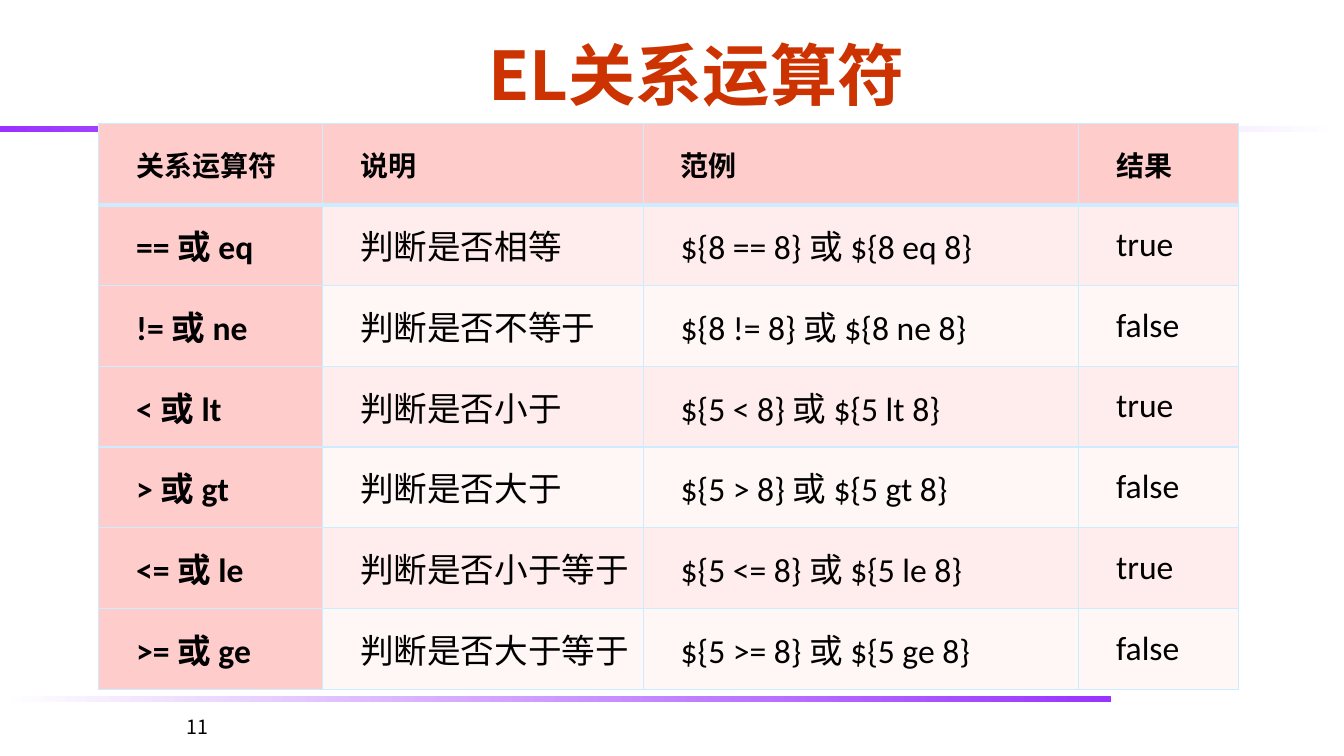
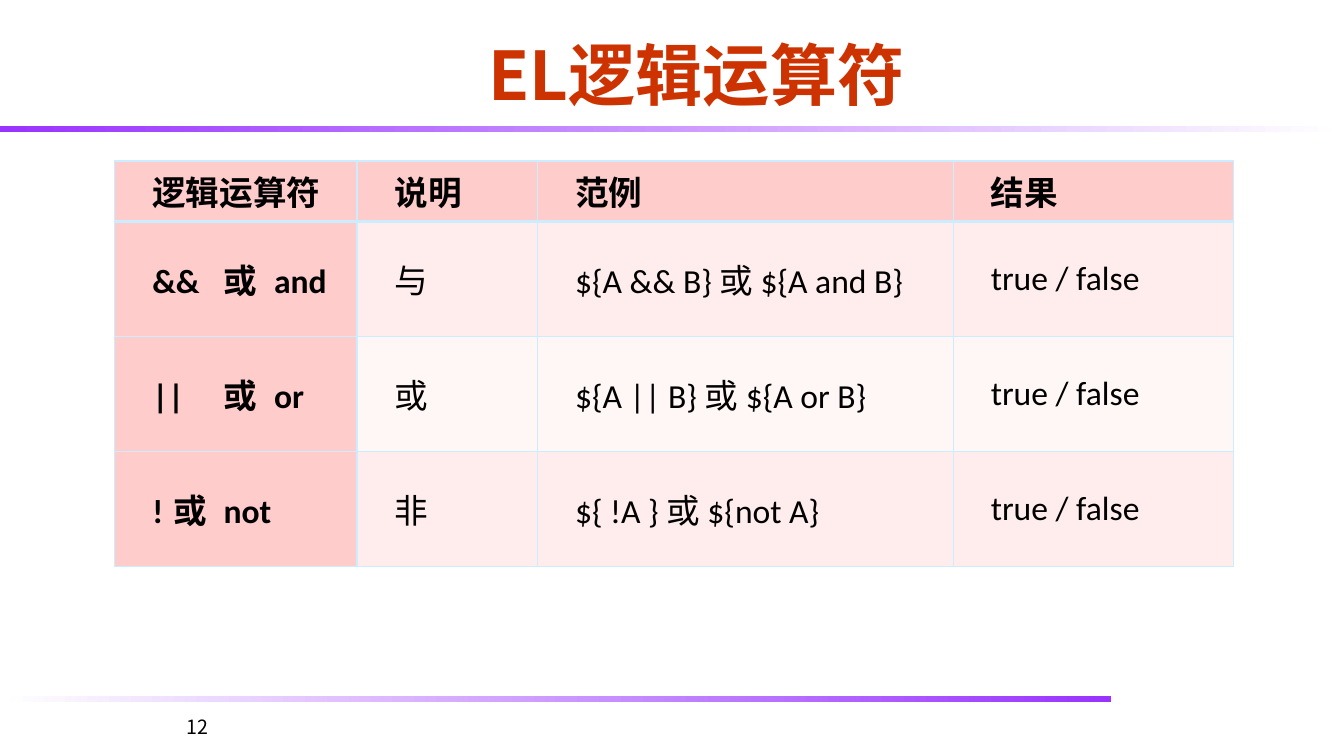
from lxml.etree import SubElement as Sub
from pptx import Presentation
from pptx.dml.color import RGBColor
from pptx.enum.shapes import MSO_SHAPE as Form
from pptx.enum.text import MSO_ANCHOR as Anchor, MSO_AUTO_SIZE as Fit, PP_ALIGN as Align
from pptx.oxml import parse_xml
from pptx.oxml.ns import nsdecls, qn
from pptx.util import Pt

# Shared look
WIDE, HIGH = 960, 540
PURPLE, WHITE, BLACK = "9933FF", "FFFFFF", "000000"
RUST, LINE = "CC3300", "CCECFF"
HEAD, ODD, EVEN = "FFCCCC", "FFECEC", "FFF6F6"
HAN, LATIN, PAGE = "Noto Sans CJK SC", "Calibri", "Noto Sans CJK JP"

# Table content; a tab in the first column goes with its stop in STOPS
RELATE = [
    ("关系运算符", "说明", "范例", "结果"),
    ("== 或 eq", "判断是否相等", "${8 == 8} 或 ${8 eq 8}", "true"),
    ("!= 或 ne", "判断是否不等于", "${8 != 8} 或 ${8 ne 8}", "false"),
    ("< 或 lt", "判断是否小于", "${5 < 8} 或 ${5 lt 8}", "true"),
    ("> 或 gt", "判断是否大于", "${5 > 8} 或 ${5 gt 8}", "false"),
    ("<= 或 le", "判断是否小于等于", "${5 <= 8} 或 ${5 le 8}", "true"),
    (">= 或 ge", "判断是否大于等于", "${5 >= 8} 或 ${5 ge 8}", "false"),
]
LOGIC = [
    ("逻辑运算符", "说明", "范例", "结果"),
    ("&&\t或\tand", "与", "${A && B} 或 ${A and B}", "true / false"),
    ("||\t或\tor", "或", "${A || B} 或 ${A or B}", "true / false"),
    ("!\t或\tnot", "非", "${ !A } 或 ${not A}", "true / false"),
]
STOPS = {"&&": 66, "||": 60, "!": 51}
STEP = 41


def color(code):
    return RGBColor.from_string(code)


def style(para, size, name, code=BLACK, bold=False):
    font = para.font
    font.size, font.name, font.bold = Pt(size), name, bold
    font.color.rgb = color(code)
    base = para._p.pPr.find(qn("a:defRPr"))
    Sub(base, qn("a:ea")).set("typeface", PAGE if name == PAGE else HAN)


def place(shape, left, top, width, height):
    shape.left, shape.top = Pt(left), Pt(top)
    shape.width, shape.height = Pt(width), Pt(height)


def band(slide, top, width, start, end):
    bar = slide.shapes.add_shape(Form.RECTANGLE, 0, Pt(top), Pt(width), Pt(4.3))
    bar.shadow.inherit = False
    bar.line.fill.background()
    bar.fill.gradient()
    bar.fill.gradient_angle = 0
    for stop, code in zip(bar.fill.gradient_stops, (start, end)):
        stop.color.rgb = color(code)


def frame(deck, text, page):
    """Add a slide with its title, bands and page number."""
    slide = deck.slides.add_slide(deck.slide_layouts[5])
    title = slide.shapes.title
    place(title, 88, 12, 819, 69.5)
    body = title.text_frame
    body.text = text
    body.auto_size = Fit.NONE
    body.vertical_anchor = Anchor.BOTTOM
    body.margin_top = body.margin_bottom = 0
    body.paragraphs[0].alignment = Align.CENTER
    style(body.paragraphs[0], 48, HAN, RUST, True)

    band(slide, 90, WIDE, PURPLE, WHITE)
    band(slide, 497, 793.5, WHITE, PURPLE)

    box = slide.shapes.add_textbox(Pt(126), Pt(507), Pt(42), Pt(21))
    box.text_frame.word_wrap = True
    box.text_frame.text = str(page)
    style(box.text_frame.paragraphs[0], 14, PAGE)
    return slide


def edge(cell, sides):
    """Draw the borders, given as side and width."""
    props = cell._tc.get_or_add_tcPr()
    for spot, (side, width) in enumerate(sides.items()):
        props.insert(spot, parse_xml(
            f'<a:ln{side} {nsdecls("a")} w="{Pt(width)}"><a:solidFill>'
            f'<a:srgbClr val="{LINE}"/></a:solidFill></a:ln{side}>'))


def write(cell, text, size, bold):
    cell.vertical_anchor = Anchor.MIDDLE
    cell.margin_left = cell.margin_right = Pt(5.76)
    cell.margin_top = cell.margin_bottom = 0
    cell.text_frame.text = text
    para = cell.text_frame.paragraphs[0]
    para.alignment = Align.JUSTIFY
    props = para._p.get_or_add_pPr()
    props.set("indent", str(Pt(21)))
    if "\t" in text:
        first = STOPS[text.split("\t")[0]]
        tabs = Sub(props, qn("a:tabLst"))
        for stop in (first, first + STEP):
            tab = Sub(tabs, qn("a:tab"))
            tab.set("pos", str(Pt(stop)))
            tab.set("algn", "l")
    style(para, size, LATIN, bold=bold)


def grid(slide, data, left, top, cols, rows, size):
    """Add a table; size is the header's text size."""
    table = slide.shapes.add_table(len(rows), len(cols), Pt(left), Pt(top),
                                   Pt(sum(cols)), Pt(sum(rows))).table
    table.first_row = table.horz_banding = False
    for col, width in zip(table.columns, cols):
        col.width = Pt(width)
    for r, (row, high) in enumerate(zip(data, rows)):
        table.rows[r].height = Pt(high)
        for c, text in enumerate(row):
            cell = table.cell(r, c)
            key = r == 0 or c == 0
            write(cell, text, 24 if r else size, key)
            cell.fill.solid()
            cell.fill.fore_color.rgb = color(HEAD if key else ODD if r % 2 else EVEN)
            edge(cell, {"L": 1, "R": 1, "T": 3 if r == 1 else 1, "B": 1 if r else 3})


def main():
    deck = Presentation()
    deck.slide_width, deck.slide_height = Pt(WIDE), Pt(HIGH)

    # Relational operators
    slide = frame(deck, "EL关系运算符", 11)
    grid(slide, RELATE, 70.5, 88.5, (160, 229, 311, 114), [57.7] * 7, 20)

    # Logical operators
    slide = frame(deck, "EL逻辑运算符", 12)
    grid(slide, LOGIC, 82, 115, (173, 129, 297, 200), [43.2] + [82.2] * 3, 24)

    deck.save("out.pptx")


if __name__ == "__main__":
    main()
